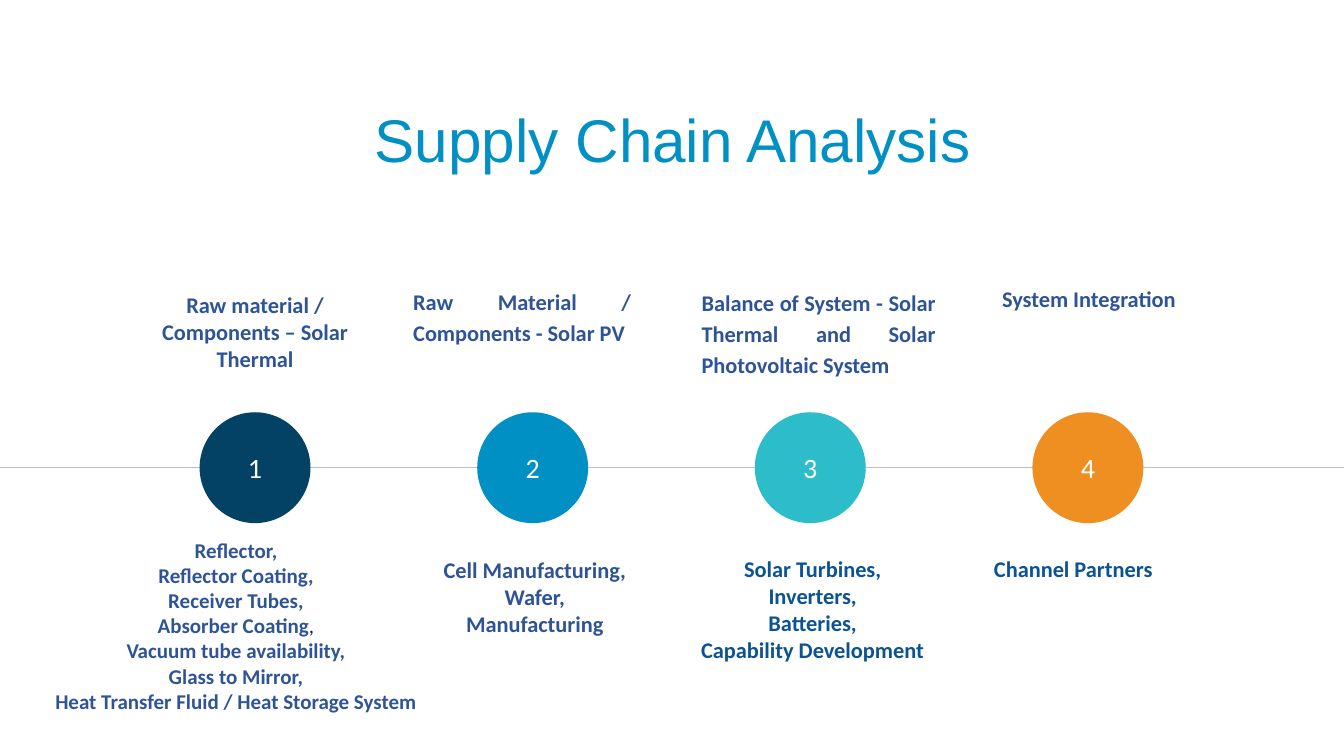
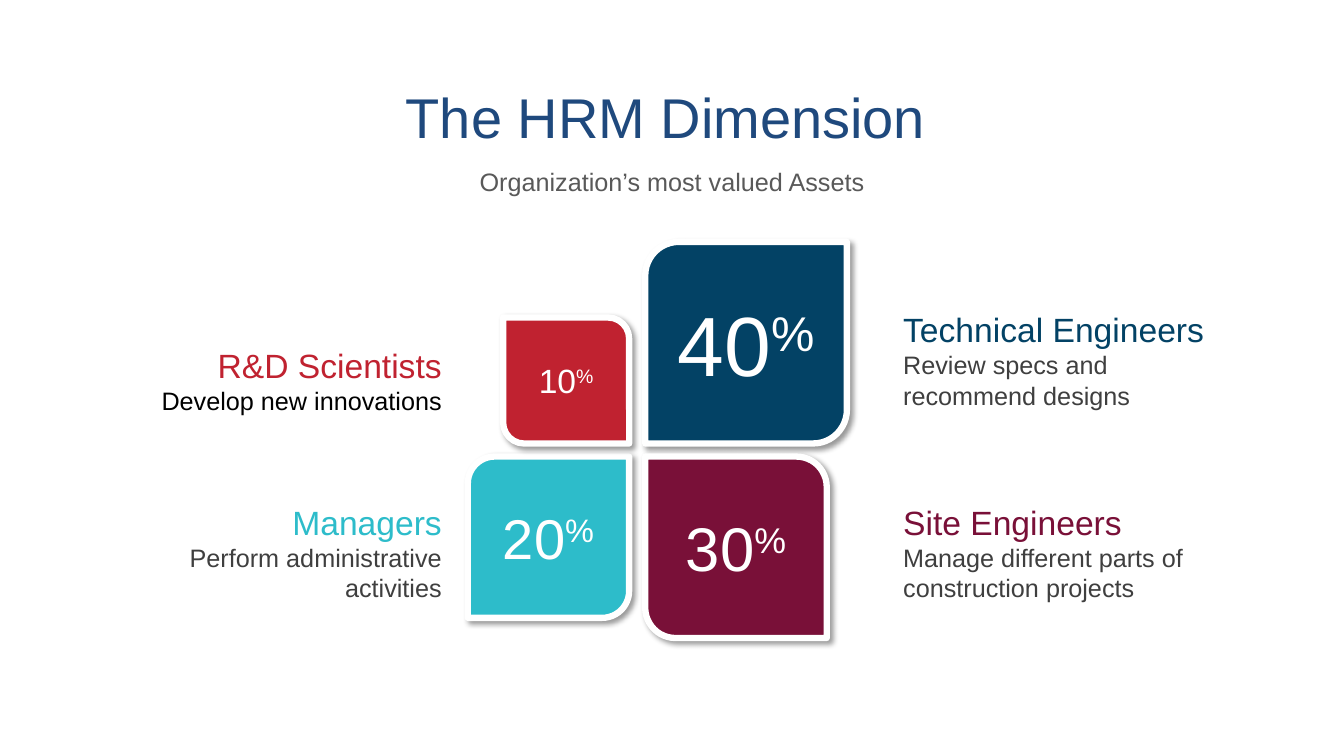
import pptx
import pptx.util
import pptx.dml.color
import pptx.enum.shapes
import pptx.enum.text
import pptx.oxml
import pptx.oxml.ns

Inches, Pt = pptx.util.Inches, pptx.util.Pt
SHAPE = pptx.enum.shapes.MSO_SHAPE
ALIGN = pptx.enum.text.PP_ALIGN
LEFT, CENTER, RIGHT, JUSTIFY = ALIGN.LEFT, ALIGN.CENTER, ALIGN.RIGHT, ALIGN.JUSTIFY

HEX = {
    "white": "FFFFFF", "black": "000000", "ink": "262123", "rule": "BFBFBF",
    "navy": "034265", "blue": "0090C4", "teal": "2DBCCA", "orange": "EF8F21",
    "red": "C02230", "plum": "791038", "indigo": "2F5496", "royal": "0B5394",
    "title": "1F497D", "gray": "595959", "dark": "3F3F3F",
}
WIDE, HIGH = 13.33, 7.5

# Circle fill, heading, heading place, heading alignment
STEPS = [
    ("navy", "Raw material / Components – Solar Thermal", (1.35, 2.84, 2.36, 1.04), CENTER),
    ("blue", "Raw Material / Components - Solar PV", (4, 2.77, 2.36, 1.04), JUSTIFY),
    ("teal", "Balance of System - Solar Thermal and Solar Photovoltaic System",
     (6.86, 2.78, 2.52, 1.31), JUSTIFY),
    ("orange", "System Integration", (9.62, 2.78, 2.36, 1.04), CENTER),
]
# Place, size, colour, alignment, lines
PARTS = [
    ((0.43, 5.28, 3.82, 1.93), 15, "indigo", CENTER,
     ["Reflector,", "Reflector Coating,", "Receiver Tubes,", "Absorber Coating,",
      "Vacuum tube availability,", "Glass to Mirror,",
      "Heat Transfer Fluid / Heat Storage System"]),
    ((4.25, 5.47, 2.11, 1.31), 16, "indigo", CENTER,
     ["Cell Manufacturing,", "Wafer,", "Manufacturing"]),
    ((6.75, 5.46, 2.62, 1.57), 16, "royal", CENTER,
     ["Solar Turbines,", "Inverters,", "Batteries,", "Capability Development"]),
    ((9.76, 5.46, 2.11, 1.31), 16, "royal", LEFT, ["Channel Partners"]),
]
FIRST, LAST, DISC, AXIS = 1.98, 10.24, 1.1, 4.64

# Share, role, duty, colour, duty colour, side, row, square size, text size, label top
STAFF = [
    (40, "Technical Engineers", "Review specs and recommend designs",
     "navy", "dark", "right", "top", 2, 60, 3.02),
    (20, "Managers", "Perform administrative activities",
     "teal", "dark", "left", "low", 1.6, 40, 4.93),
    (10, "R&D Scientists", "Develop new innovations",
     "red", "black", "left", "top", 1.25, 24, 3.37),
    (30, "Site Engineers", "Manage different parts of construction projects",
     "plum", "dark", "right", "low", 1.8, 44, 4.93),
]
INNER = {"left": 6.24, "right": 6.4, "top": 4.4, "low": 4.53}
LABEL = {"left": (1.01, RIGHT), "right": (8.86, LEFT)}


def color(name):
    return pptx.dml.color.RGBColor.from_string(HEX[name])


def box(at):
    return [Inches(n) for n in at]


def run(para, text, size, tint, face="Arial", bold=False):
    part = para.add_run()
    part.text = text
    font = part.font
    font.size, font.name, font.bold = Pt(size), face, bold
    font.color.rgb = color(tint)
    return part


def paras(slide, at, count, align):
    """Add a wrapping text box and return its paragraphs."""
    frame = slide.shapes.add_textbox(*box(at)).text_frame
    frame.word_wrap = True
    for _ in range(count - 1):
        frame.add_paragraph()
    for para in frame.paragraphs:
        para.alignment = align
    return frame.paragraphs


def title(slide, at, text, size, tint):
    run(paras(slide, at, 1, CENTER)[0], text, size, tint)


def tile(slide, kind, at, fill):
    """Add a flat shape with centred text and return it."""
    shape = slide.shapes.add_shape(kind, *box(at))
    shape.fill.solid()
    shape.fill.fore_color.rgb = color(fill)
    shape.line.fill.background()
    shape.shadow.inherit = False
    shape.text_frame.vertical_anchor = pptx.enum.text.MSO_ANCHOR.MIDDLE
    shape.text_frame.paragraphs[0].alignment = CENTER
    return shape


def shade(shape):
    """Give a shape a soft shadow at its lower right."""
    glow = shape.element.spPr.find(pptx.oxml.ns.qn("a:effectLst"))
    glow.append(pptx.oxml.parse_xml(
        f'<a:outerShdw {pptx.oxml.ns.nsdecls("a")} blurRad="{Pt(4)}" dist="{Pt(3)}" '
        f'dir="2700000" algn="tl" rotWithShape="0"><a:srgbClr val="{HEX["black"]}">'
        '<a:alpha val="40000"/></a:srgbClr></a:outerShdw>'))


def chain(slide):
    title(slide, (2.35, 0.97, 8.64, 1.11), "Supply Chain Analysis", 43, "blue")
    line = slide.shapes.add_connector(
        pptx.enum.shapes.MSO_CONNECTOR.STRAIGHT, *box((0, AXIS, WIDE, AXIS)))
    line.line.color.rgb = color("rule")
    line.line.width = Pt(0.75)
    line.element.spPr.append(pptx.oxml.parse_xml(
        f'<a:effectLst {pptx.oxml.ns.nsdecls("a")}/>'))

    pitch = (LAST - FIRST) / (len(STEPS) - 1)
    for i, (fill, head, at, align) in enumerate(STEPS):
        disc = tile(slide, SHAPE.OVAL,
                    (FIRST + i * pitch, AXIS - DISC / 2, DISC, DISC), fill)
        run(disc.text_frame.paragraphs[0], str(i + 1), 20, "white", "Calibri")
        para = paras(slide, at, 1, align)[0]
        if align == JUSTIFY:
            para.line_spacing = 1.15
        run(para, head, 16, "indigo", "Calibri", True)

    for at, size, tint, align, lines in PARTS:
        for para, text in zip(paras(slide, at, len(lines), align), lines):
            plain = text == "Absorber Coating,"
            run(para, text.rstrip(",") if plain else text, size, tint, "Calibri", True)
            if plain:
                run(para, ",", size, "ink", "Calibri")


def staff(slide):
    for share, role, duty, tint, soft, side, row, size, points, top in STAFF:
        left = INNER[side] - (size if side == "left" else 0)
        high = INNER[row] - (size if row == "top" else 0)
        leaf = tile(slide, SHAPE.ROUND_2_DIAG_RECTANGLE, (left, high, size, size), tint)
        rising = (side, row) in (("right", "top"), ("left", "low"))
        leaf.adjustments[0], leaf.adjustments[1] = (0.167, 0) if rising else (0, 0.167)
        leaf.line.color.rgb = color("white")
        leaf.line.width = Pt(4.5)
        shade(leaf)
        para = leaf.text_frame.paragraphs[0]
        run(para, str(share), points, "white")
        sign = run(para, "%", points, "white")
        sign.font._element.set("baseline", "30000")

        edge, align = LABEL[side]
        name, note = paras(slide, (edge, top, 3.47, 1.11), 2, align)
        run(name, role, 24, tint)
        run(note, duty, 18, soft)

    title(slide, (2.61, 0.77, 7.98, 0.77), "The HRM Dimension", 40, "title")
    title(slide, (2.61, 1.6, 8.11, 0.4), "Organization’s most valued Assets", 18, "gray")


def main():
    deck = pptx.Presentation()
    deck.slide_width, deck.slide_height = Inches(WIDE), Inches(HIGH)
    for draw in (chain, staff):
        draw(deck.slides.add_slide(deck.slide_layouts[6]))
    deck.save("out.pptx")


if __name__ == "__main__":
    main()
